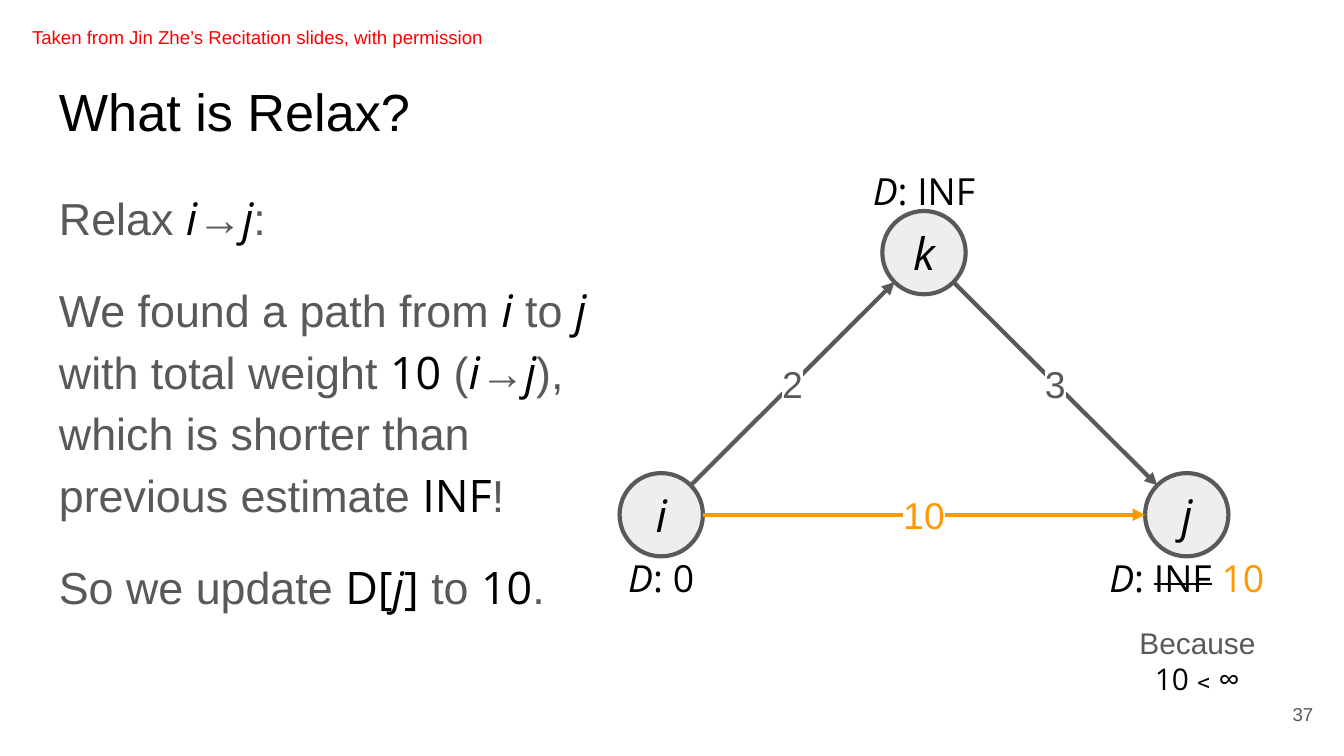
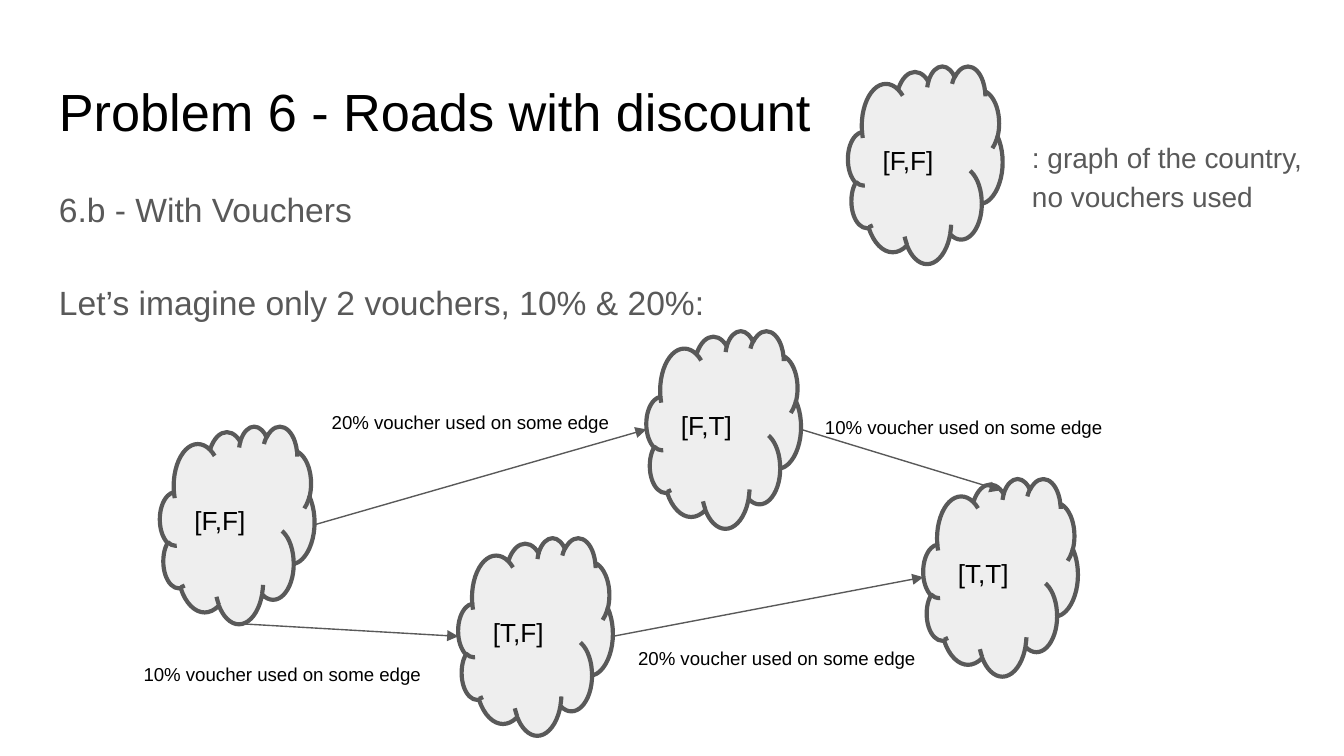
from math import hypot

from lxml.etree import SubElement
from pptx import Presentation
from pptx.dml.color import RGBColor
from pptx.enum.shapes import MSO_CONNECTOR as Link, MSO_SHAPE as Shape
from pptx.enum.text import MSO_ANCHOR as Anchor, MSO_AUTO_SIZE as Fit, PP_ALIGN as Align
from pptx.oxml.ns import qn
from pptx.util import Inches, Pt

BLACK = RGBColor(0x00, 0x00, 0x00)
GREY = RGBColor(0x59, 0x59, 0x59)
PALE = RGBColor(0xEE, 0xEE, 0xEE)
ORANGE = RGBColor(0xFF, 0x99, 0x00)
RED = RGBColor(0xFF, 0x00, 0x00)

STYLES = {
    "body": {"name": "Arial", "color": GREY},
    "dark": {"name": "Arial", "color": BLACK},
    "credit": {"name": "Arial", "color": RED},
    "math": {"name": "Open Sans", "color": BLACK},
    "var": {"name": "Open Sans", "color": BLACK, "italic": True},
    "new": {"name": "Open Sans", "color": ORANGE},
    "old": {"name": "Open Sans", "color": BLACK, "strike": True},
    "weight": {"name": "Arial", "color": GREY, "highlight": True},
    "relaxed": {"name": "Arial", "color": ORANGE, "highlight": True},
}

deck = Presentation()
deck.slide_width, deck.slide_height = Inches(10), Inches(5.625)
COLUMN = deck.slide_width / 100
ROW = deck.slide_height / 56.25


def write(page, area, paragraphs, size, kind=None, align=Align.LEFT, anchor=Anchor.TOP,
          inset=1, leading=1, gap=0, fit=Fit.NONE):
    left, top, width, height = area
    bounds = [round(n) for n in (left * COLUMN, top * ROW, width * COLUMN, height * ROW)]
    if kind is None:
        box = page.shapes.add_textbox(*bounds)
    else:
        box = page.shapes.add_shape(kind, *bounds)
        box.shadow.inherit = False
        box.fill.solid()
        box.fill.fore_color.rgb = PALE
        box.line.color.rgb = GREY
        box.line.width = Pt(2.25)
    frame = box.text_frame
    margins = {f"margin_{side}": round(inset * COLUMN) for side in ("left", "right", "top", "bottom")}
    settings = {"word_wrap": True, "auto_size": fit, "vertical_anchor": anchor, **margins}
    for key, value in settings.items():
        setattr(frame, key, value)
    for index, runs in enumerate(paragraphs):
        para = frame.add_paragraph() if index else frame.paragraphs[0]
        layout = {"alignment": align, "line_spacing": leading, "space_before": Pt(gap if index else 0)}
        for key, value in layout.items():
            setattr(para, key, value)
        for text, style in runs:
            span = para.add_run()
            span.text = text
            span.font.size = Pt(size)
            for key, value in STYLES[style].items():
                if key == "color":
                    span.font.color.rgb = value
                elif key == "strike":
                    span.font._element.set("strike", "sngStrike")
                elif key == "highlight":
                    props = span.font._element
                    mark = SubElement(props, qn("a:highlight"))
                    SubElement(mark, qn("a:srgbClr"), val="FFFFFF")
                    props.find(qn("a:solidFill")).addnext(mark)
                else:
                    setattr(span.font, key, value)


def draw_arrow(page, start, end, color, width):
    ends = [round(n) for x, y in (start, end) for n in (x * COLUMN, y * ROW)]
    arrow = page.shapes.add_connector(Link.STRAIGHT, *ends)
    arrow.line.color.rgb = color
    arrow.line.width = Pt(width)
    props = arrow.element.spPr
    SubElement(props.find(qn("a:ln")), qn("a:tailEnd"), type="triangle")
    SubElement(props, qn("a:effectLst"))


pages = []
for title in ("What is Relax?", "Problem 6 - Roads with discount"):
    page = deck.slides.add_slide(deck.slide_layouts[6])
    write(page, (3.4, 4.9, 93.2, 6.3), [[(title, "dark")]], 28)
    pages.append(page)
relax_page, voucher_page = pages

relax_text = [
    [("Relax ", "body"), ("i", "var"), ("→", "body"), ("j", "var"), (":", "body")],
    [("We found a path from ", "body"), ("i", "var"), (" to ", "body"), ("j", "var"),
     (" with total weight ", "body"), ("10", "math"), (" (", "body"), ("i", "var"),
     ("→", "body"), ("j", "var"), ("), which is shorter than previous estimate ", "body"),
     ("INF", "math"), ("!", "body")],
    [("So we update ", "body"), ("D[", "math"), ("j", "var"), ("]", "math"),
     (" to ", "body"), ("10", "math"), (".", "body")],
]
write(relax_page, (3.4, 12.6, 42.7, 37.4), relax_text, 24, leading=1.15, gap=16)
write(relax_page, (92.7, 51, 6, 4.3), [[("37", "body")]], 10, align=Align.RIGHT, anchor=Anchor.MIDDLE)

RADIUS = 3.1
LABEL_WIDTH, LABEL_HEIGHT = 15.2, 3.1
nodes = {"i": (49.2, 38.3), "j": (88.3, 38.3), "k": (68.75, 18.8)}
distances = {
    "i": (RADIUS, [(": 0", "math")]),
    "j": (RADIUS, [(": ", "math"), ("INF", "old"), (" ", "math"), ("10", "new")]),
    "k": (-RADIUS - LABEL_HEIGHT, [(": INF", "math")]),
}
edges = [
    ("i", "j", "10", ORANGE, "relaxed"),
    ("i", "k", "2", GREY, "weight"),
    ("k", "j", "3", GREY, "weight"),
]
for name, (x, y) in nodes.items():
    write(relax_page, (x - RADIUS, y - RADIUS, 2 * RADIUS, 2 * RADIUS), [[(name, "var")]], 24,
          kind=Shape.OVAL, align=Align.CENTER, anchor=Anchor.MIDDLE, inset=0)
for source, target, weight, color, style in edges:
    (x1, y1), (x2, y2) = nodes[source], nodes[target]
    share = RADIUS / hypot(x2 - x1, y2 - y1)
    dx, dy = (x2 - x1) * share, (y2 - y1) * share
    draw_arrow(relax_page, (x1 + dx, y1 + dy), (x2 - dx, y2 - dy), color, 2.25)
    write(relax_page, ((x1 + x2) / 2 - 3.1, (y1 + y2) / 2 - 3.15, 6.2, 6.3), [[(weight, style)]], 20,
          align=Align.CENTER, anchor=Anchor.MIDDLE)
for name, (offset, runs) in distances.items():
    x, y = nodes[name]
    write(relax_page, (x - LABEL_WIDTH / 2, y + offset, LABEL_WIDTH, LABEL_HEIGHT),
          [[("D", "var"), *runs]], 20, align=Align.CENTER, anchor=Anchor.MIDDLE)

write(relax_page, (81.6, 45.5, 15, 7.2), [[("Because", "body")], [("10﹤∞", "math")]], 16, align=Align.CENTER)
write(relax_page, (1.4, 0.9, 42.7, 4.5),
      [[("Taken from Jin Zhe’s Recitation slides, with permission", "credit")]], 10)

write(voucher_page, (3.4, 12.6, 93.2, 12),
      [[("6.b - With Vouchers", "body")], [("Let’s imagine only 2 vouchers, 10% & 20%:", "body")]],
      18, leading=1.15, gap=25)
write(voucher_page, (75.8, 9.1, 23.2, 7.6),
      [[(": graph of the country,", "body")], [("no vouchers used", "body")]], 15, leading=1.15)

CLOUD_WIDTH, CLOUD_HEIGHT = 11.5, 14.7
SIDES = {"top": (0.5, 0.06), "left": (0, 0.5), "bottom": (0.5, 1), "right": (1, 0.5)}
clouds = {
    "start": ("[F,F]", 11.9, 31.7),
    "legend": ("[F,F]", 63.1, 4.9),
    "ten": ("[T,F]", 34.1, 40),
    "twenty": ("[F,T]", 48.1, 24.6),
    "both": ("[T,T]", 68.7, 35.6),
}
roads = [
    ("start", "bottom", "ten", "left", "10%", 9.7, 48.5),
    ("start", "right", "twenty", "left", "20%", 23.7, 29.7),
    ("twenty", "right", "both", "top", "10%", 60.4, 30.1),
    ("ten", "right", "both", "left", "20%", 46.5, 47.3),
]
for state, x, y in clouds.values():
    write(voucher_page, (x, y, CLOUD_WIDTH, CLOUD_HEIGHT), [[(state, "dark")]], 14,
          kind=Shape.CLOUD, anchor=Anchor.MIDDLE)
for source, exit_side, target, entry_side, voucher, label_x, label_y in roads:
    ends = []
    for name, side in ((source, exit_side), (target, entry_side)):
        state, x, y = clouds[name]
        across, down = SIDES[side]
        ends.append((x + across * CLOUD_WIDTH, y + down * CLOUD_HEIGHT))
    draw_arrow(voucher_page, *ends, GREY, 0.75)
    write(voucher_page, (label_x, label_y, 23.7, 3.7),
          [[(f"{voucher} voucher used on some edge", "dark")]], 10, fit=Fit.SHAPE_TO_FIT_TEXT)

deck.save("out.pptx")
